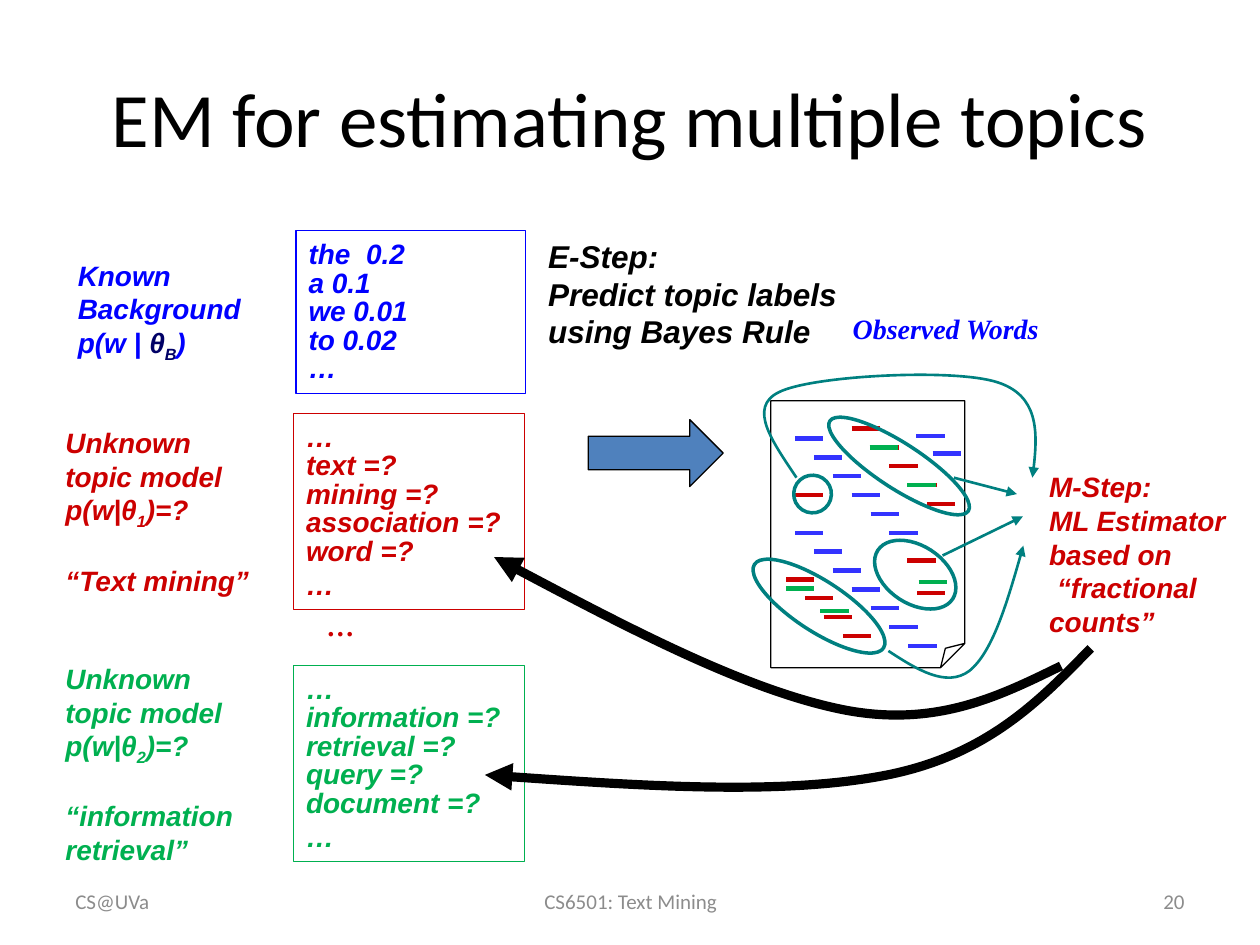
"""Builds a slide on EM estimation of several topic models."""
from lxml.etree import SubElement
from pptx import Presentation
from pptx.dml.color import RGBColor
from pptx.enum.shapes import MSO_CONNECTOR as Connector, MSO_SHAPE as Shape
from pptx.enum.text import MSO_ANCHOR as Anchor, MSO_AUTO_SIZE as AutoSize, PP_ALIGN as Align
from pptx.oxml.ns import qn
from pptx.util import Cm, Pt

COLOURS = {
    "background": "0000FF", "symbol": "000066", "mining": "CC0000", "retrieval": "00B050",
    "common_word": "3333FF", "cluster": "008080", "block_arrow": "4F81BD",
    "ink": "000000", "footer": "8C8C8C",
}
MARK_LENGTH = 0.57
MARK_STEP = 0.38
MARK_RUNS = {
    "common_word": [(16.03, 8.84, 6), (18.47, 8.79, 1), (18.8, 9.14, 1), (16.03, 10.74, 7)],
    "mining": [(17.17, 8.64, 5), (15.85, 11.68, 4), (18.29, 11.3, 1),
               (18.49, 11.96, 1), (16.03, 9.98, 1)],
    "retrieval": [(17.53, 9.02, 1), (18.29, 9.78, 1), (18.52, 11.73, 1),
                  (15.85, 11.86, 1), (16.54, 12.32, 1)],
}
CLUSTERS = [(16.46, 8.94, 3.33, 0.91), (14.96, 11.71, 3.1, 1.02),
            (17.55, 11, 1.8, 1.17), (16, 9.58, 0.76, 0.76)]
LOWER_LOOP = [(0, 0.74), (0.21, 0.87), (0.43, 1), (0.6, 0.88), (0.77, 0.75), (0.89, 0.37), (1, 0)]
UPPER_LOOP = [(0.17, 1), (0.09, 0.68), (0, 0.36), (0.11, 0.22), (0.22, 0.07),
              (0.71, 0), (0.86, 0.13), (1, 0.25), (1, 0.63), (0.98, 1)]
FEEDBACK = [(1, 0.64), (0.89, 0.82), (0.78, 1), (0.62, 0.9), (0.45, 0.79), (0.22, 0.39), (0, 0)]


def rgb(role):
    """Return the colour that belongs to a role."""
    return RGBColor.from_string(COLOURS[role])


def lengths(*values):
    """Turn centimetres into slide lengths."""
    return [Cm(value) for value in values]


def style_line(outlined, role, width, arrow=False):
    """Set the colour, width and arrowhead of a line or an outline."""
    outlined.line.color.rgb = rgb(role)
    outlined.line.width = Pt(width)
    if arrow:
        SubElement(outlined.element.spPr.find(qn("a:ln")), qn("a:tailEnd"), type="triangle")


def style_paragraph(paragraph, role, font="Arial", size=16, emphasis=True):
    """Set the font that all runs of a paragraph share."""
    paragraph.font.name = font
    paragraph.font.size = Pt(size)
    paragraph.font.bold = paragraph.font.italic = emphasis
    paragraph.font.color.rgb = rgb(role)


def write_lines(frame, lines, role, **style):
    """Write one paragraph a line and return the paragraphs."""
    for line in lines[1:]:
        frame.add_paragraph()
    for paragraph, line in zip(frame.paragraphs, lines):
        paragraph.alignment = Align.LEFT
        if isinstance(line, tuple):
            write_formula(paragraph, *line)
        else:
            paragraph.add_run().text = line
        style_paragraph(paragraph, role, **style)
    return frame.paragraphs


def write_formula(paragraph, before, index, after, symbol_role=None):
    """Write a probability whose theta carries a subscript."""
    for part in (before, "θ", index, after):
        run = paragraph.add_run()
        run.text = part
        if part == index:
            run.font._element.set("baseline", "-25000")
        if symbol_role and part in ("θ", index):
            run.font.color.rgb = rgb(symbol_role)


def add_label(slide, box, lines, role, wrap=False, **style):
    """Add free text and return its paragraphs."""
    frame = slide.shapes.add_textbox(*lengths(*box)).text_frame
    frame.word_wrap = wrap
    frame.auto_size = AutoSize.SHAPE_TO_FIT_TEXT
    return write_lines(frame, lines, role, **style)


def add_outline(slide, kind, box, role, width=0.75, rotation=0):
    """Add an unfilled preset shape."""
    outline = slide.shapes.add_shape(kind, *lengths(*box))
    outline.shadow.inherit = False
    outline.fill.background()
    outline.rotation = rotation
    style_line(outline, role, width)
    return outline


def add_word_box(slide, box, lines, role):
    """Add a framed list of words with tight inner lines."""
    frame = add_outline(slide, Shape.RECTANGLE, box, role).text_frame
    frame.word_wrap = True
    frame.vertical_anchor = Anchor.TOP
    paragraphs = write_lines(frame, lines, role)
    for paragraph in paragraphs[1:5]:
        paragraph.line_spacing = 0.85
    return paragraphs


def add_topic(slide, top, index, words, label_box, name_lines, role):
    """Add an unknown topic model with its word box."""
    add_word_box(slide, (5.92, top, 4.65, 3.96), ["…", *words, "…"], role)
    paragraphs = add_label(
        slide, label_box, ["Unknown", "topic model", ("p(w|", index, ")=?"), *name_lines], role)
    paragraphs[3].space_before = Pt(18.4)


def add_straight(slide, ends, role, width, arrow=False):
    """Add a straight line without a shadow."""
    straight = slide.shapes.add_connector(Connector.STRAIGHT, *lengths(*ends))
    style_line(straight, role, width, arrow)
    SubElement(straight.element.spPr, qn("a:effectLst"))


def add_curve(slide, box, fractions, role, width, rotation=0):
    """Add a curved arrow from Bezier points given as fractions of a box."""
    left, top, wide, high = box
    points = [lengths(left + wide * x, top + high * y) for x, y in fractions]
    builder = slide.shapes.build_freeform(*points[0])
    builder.add_line_segments(points[1:], close=False)
    curve = builder.convert_to_shape()
    segments = list(curve.element.iter(qn("a:lnTo")))
    for bend, *others in zip(segments[::3], segments[1::3], segments[2::3]):
        bend.tag = qn("a:cubicBezTo")
        for other in others:
            bend.append(other[0])
            other.getparent().remove(other)
    curve.shadow.inherit = False
    curve.fill.background()
    curve.rotation = rotation
    style_line(curve, role, width, arrow=True)


def add_document(slide):
    """Add the page of observed words with its topic clusters."""
    page = add_outline(slide, Shape.FOLDED_CORNER, (15.54, 8.08, 3.91, 5.38), "ink")
    fold = next(page.element.iter(qn("a:avLst")))
    SubElement(fold, qn("a:gd"), name="adj", fmla="val 12500")
    for role, runs in MARK_RUNS.items():
        for left, top, count in runs:
            for step in range(count):
                x, y = left + step * MARK_STEP, top + step * MARK_STEP
                add_straight(slide, (x, y, x + MARK_LENGTH, y), role, 2.5)
    for box in CLUSTERS:
        add_outline(slide, Shape.OVAL, box, "cluster", 2, 33)
    for ends in [(19.23, 9.63, 20.5, 9.96), (19, 11.2, 20.62, 10.41)]:
        add_straight(slide, ends, "cluster", 1.5, arrow=True)
    add_curve(slide, (17.91, 11, 2.72, 2.87), LOWER_LOOP, "cluster", 1.5)
    add_curve(slide, (15.06, 7.42, 5.87, 2.21), UPPER_LOOP, "cluster", 1.5)


def add_footer(slide, left, width, text, alignment):
    """Add one part of the footer."""
    frame = slide.shapes.add_textbox(*lengths(left, 17.65, width, 1.02)).text_frame
    frame.word_wrap = True
    frame.vertical_anchor = Anchor.MIDDLE
    part, = write_lines(frame, [text], "footer", font="Calibri", size=12, emphasis=False)
    part.alignment = alignment


def main():
    """Build and save the slide."""
    deck = Presentation()
    deck.slide_width, deck.slide_height = lengths(25.4, 19.05)
    slide = deck.slides.add_slide(deck.slide_layouts[5])
    title = slide.shapes.title
    title.left, title.top, title.width, title.height = lengths(1.27, 0.76, 22.86, 3.18)
    title.text_frame.text = "EM for estimating multiple topics"
    style_paragraph(title.text_frame.paragraphs[0], "ink", "Calibri", 44, False)

    known_words = add_word_box(slide, (5.97, 4.65, 4.62, 3.28),
                               ["the\t0.2", "a 0.1", "we 0.01", "to 0.02", "…"], "background")
    properties = known_words[0]._p.get_or_add_pPr()
    tabs = SubElement(properties, qn("a:tabLst"))
    SubElement(tabs, qn("a:tab"), pos=str(Cm(1.16)), algn="l")
    properties.find(qn("a:defRPr")).addprevious(tabs)
    add_label(slide, (1.32, 5.08, 3.99, 2.31),
              ["Known", "Background", ("p(w | ", "B", ")", "symbol")], "background")
    add_topic(slide, 8.33, "1", ["text =?", "mining =?", "association =?", "word =?"],
              (1.07, 8.46, 4.24, 3.68), ["“Text mining”"], "mining")
    add_topic(slide, 13.41, "2", ["information =?", "retrieval =?", "query =?", "document =?"],
              (1.07, 13.21, 3.94, 4.37), ["“information", "retrieval”"], "retrieval")
    add_label(slide, (6.35, 12.14, 1.22, 1.12), ["…"], "mining", font="Times New Roman")
    add_label(slide, (16.94, 6.15, 7.01, 0.94), ["Observed Words"], "background",
              wrap=True, font="Times New Roman")

    add_document(slide)
    m_step = add_label(slide, (20.9, 9.35, 4.11, 3.68),
                       ["M-Step:", "ML Estimator", "based on", "“fractional", "counts”"], "mining")
    m_step[3]._p.get_or_add_pPr().set("marL", str(Cm(0.16)))
    add_label(slide, (10.8, 4.65, 6.58, 2.57),
              ["E-Step:", "Predict topic labels", "using Bayes Rule"], "ink", size=18)
    e_step_arrow = add_outline(slide, Shape.RIGHT_ARROW, (11.86, 8.46, 2.72, 1.35), "ink")
    e_step_arrow.fill.solid()
    e_step_arrow.fill.fore_color.rgb = rgb("block_arrow")
    add_curve(slide, (9.96, 11.23, 11.43, 3.43), FEEDBACK, "ink", 5.25)
    add_curve(slide, (9.96, 13.23, 12.29, 3.35), FEEDBACK, "ink", 5.25, 338.3)

    add_footer(slide, 1.27, 5.92, "CS@UVa", Align.LEFT)
    add_footer(slide, 8.69, 8.05, "CS6501: Text Mining", Align.CENTER)
    add_footer(slide, 18.21, 5.92, "20", Align.RIGHT)
    deck.save("out.pptx")


if __name__ == "__main__":
    main()
